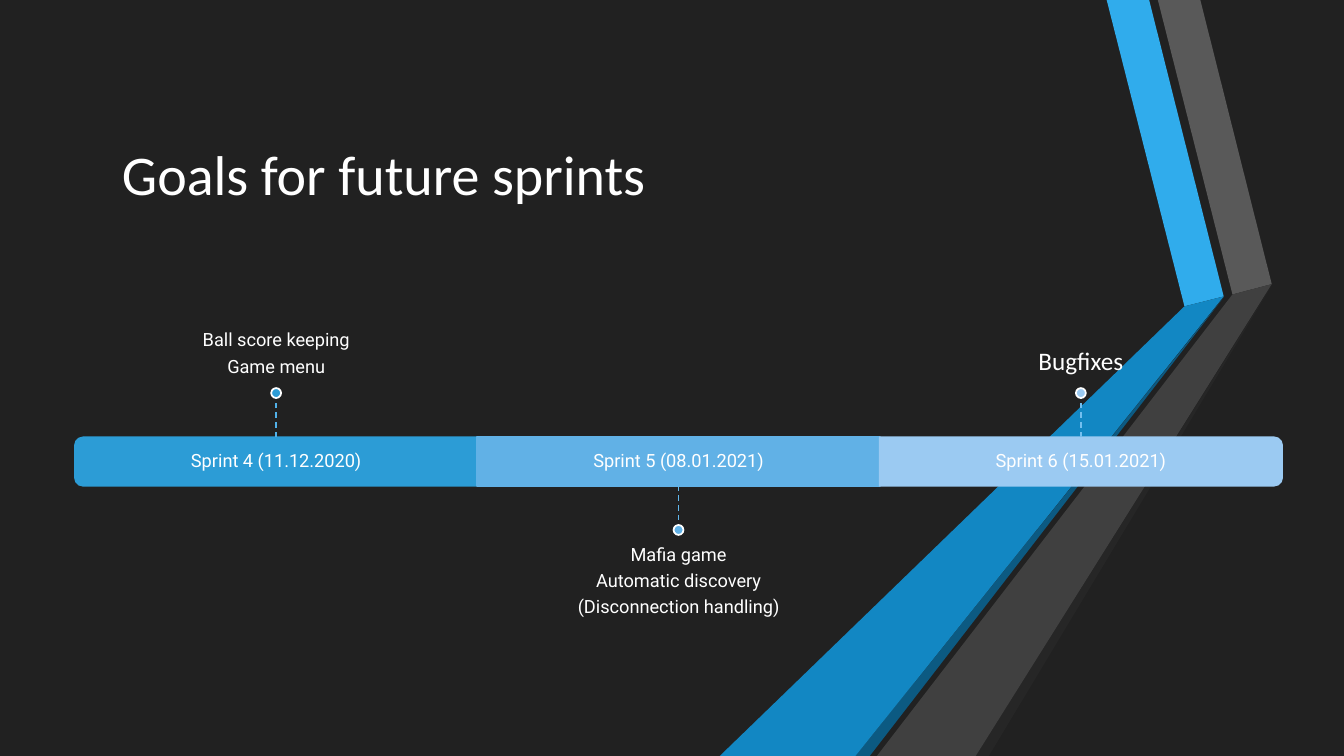
import dataclasses
import pptx
import pptx.util
import pptx.dml.color
import pptx.enum.dml
import pptx.enum.shapes
import pptx.enum.text
import pptx.oxml

Cm = pptx.util.Cm
Pt = pptx.util.Pt
SHAPE = pptx.enum.shapes.MSO_SHAPE
ANCHOR = pptx.enum.text.MSO_ANCHOR
ALIGN = pptx.enum.text.PP_ALIGN


@dataclasses.dataclass(frozen=True)
class Theme:
    background: str = "212121"
    text: str = "FFFFFF"
    bright_blue: str = "30ACEC"
    blue: str = "1287C3"
    deep_blue: str = "0C5A82"
    light_gray: str = "595959"
    gray: str = "404040"
    dark_gray: str = "262626"
    heading_font: str = "Calibri"
    body_font: str = "Roboto"
    title_size: float = 40
    body_size: float = 13
    short_note_size: float = 18
    outline: float = 1.25
    stem: float = 1


@dataclasses.dataclass(frozen=True)
class NoteStyle:
    font: str
    size: float
    width: float
    height: float
    gap: float
    inset: float
    line_spacing: float
    space_after: float


@dataclasses.dataclass(frozen=True)
class Sprint:
    label: str
    notes: tuple
    above: bool
    fill: str
    stem: str
    style: NoteStyle
    rotation: int = 0


T = Theme()
BODY = NoteStyle(T.body_font, T.body_size, 16.89, 4.29, 0, 0.28, 0.9, 4.55)
SHORT = NoteStyle(T.heading_font, T.short_note_size, 6.83, 1.02, 0.18, 0.13, 1, 0)

SPRINTS = (
    Sprint("Sprint 4 (11.12.2020)", ("Ball score keeping", "Game menu"),
           True, "2C9CD6", "51B1E9", BODY, 270),
    Sprint("Sprint 5 (08.01.2021)",
           ("Mafia game", "Automatic discovery", "(Disconnection handling)"),
           False, "61B1E6", "62B8EC", BODY),
    Sprint("Sprint 6 (15.01.2021)", ("Bugfixes",),
           True, "9BCAF2", "74BFEF", SHORT, 90),
)

RIBBONS = (
    (T.bright_blue, ((9.75, 0), (10.82, 0), (12.7, 7.47), (11.71, 7.72))),
    (T.light_gray, ((11.04, 0), (12.11, 0), (13.91, 7.16), (12.92, 7.42))),
    (T.dark_gray, ((13.91, 7.19), (6.78, 19.05), (6.45, 19.05))),
    (T.deep_blue, ((3.42, 19.05), (12.7, 7.49), (3.78, 19.05))),
    (T.blue, ((12.7, 7.47), (3.42, 19.05), (0, 19.05), (11.71, 7.72))),
    (T.gray, ((3.96, 19.05), (12.92, 7.42), (13.91, 7.16), (6.45, 19.05))),
)


def rgb(color):
    return pptx.dml.color.RGBColor.from_string(color)


def paint(sp, fill, line=None):
    sp.shadow.inherit = False
    sp.fill.solid()
    sp.fill.fore_color.rgb = rgb(fill)
    if line:
        sp.line.color.rgb = rgb(line)
        sp.line.width = Pt(T.outline)
    else:
        sp.line.fill.background()


def set_font(p, name, size):
    p.font.name = name
    p.font.size = Pt(size)
    p.font.color.rgb = rgb(T.text)


def add_text(s, box, lines, style, anchor, top=0.0, bottom=0.0):
    tf = s.shapes.add_textbox(*map(Cm, box)).text_frame
    tf.word_wrap = True
    tf.vertical_anchor = anchor
    tf.margin_left = tf.margin_right = 0
    tf.margin_top, tf.margin_bottom = Cm(top), Cm(bottom)
    for i, line in enumerate(lines):
        p = tf.add_paragraph() if i else tf.paragraphs[0]
        p.text = line
        p.alignment = ALIGN.CENTER
        p.line_spacing = style.line_spacing
        p.space_after = Pt(style.space_after)
        set_font(p, style.font, style.size)


def add_ribbons(s, left, top):
    for color, outline in RIBBONS:
        points = [(Cm(left + x), Cm(top + y)) for x, y in outline]
        builder = s.shapes.build_freeform(*points[0])
        builder.add_line_segments(points[1:], close=True)
        paint(builder.convert_to_shape(), color)


def add_title(s, text, left, top, width, height):
    sp = s.shapes.title
    sp.left, sp.top, sp.width, sp.height = map(Cm, (left, top, width, height))
    tf = sp.text_frame
    tf.text = text
    tf.vertical_anchor = ANCHOR.MIDDLE
    p = tf.paragraphs[0]
    p.alignment = ALIGN.LEFT
    set_font(p, T.heading_font, T.title_size)


def add_bar(s, sprint, left, top, width, height):
    if sprint.rotation:
        cx, cy = left + width / 2, top + height / 2
        sp = s.shapes.add_shape(SHAPE.ROUND_2_SAME_RECTANGLE,
                                Cm(cx - height / 2), Cm(cy - width / 2),
                                Cm(height), Cm(width))
        sp.rotation = sprint.rotation
    else:
        sp = s.shapes.add_shape(SHAPE.RECTANGLE, Cm(left), Cm(top),
                                Cm(width), Cm(height))
    paint(sp, sprint.fill, sprint.fill)
    add_text(s, (left, top, width, height), (sprint.label,), BODY,
             ANCHOR.MIDDLE, BODY.inset, BODY.inset)


def add_callout(s, sprint, cx, edge, stem=0.99, dot=0.25):
    style = sprint.style
    way = -1 if sprint.above else 1
    stem_end = edge + way * stem
    dot_end = stem_end + way * dot
    note_edge = dot_end + way * style.gap

    cxn = s.shapes.add_connector(pptx.enum.shapes.MSO_CONNECTOR.STRAIGHT,
                                 Cm(cx), Cm(edge), Cm(cx), Cm(stem_end))
    cxn.line.color.rgb = rgb(sprint.stem)
    cxn.line.width = Pt(T.stem)
    cxn.line.dash_style = pptx.enum.dml.MSO_LINE.DASH
    props = cxn.element.spPr
    props.append(pptx.oxml.parse_xml(
        '<a:effectLst xmlns:a="http://schemas.openxmlformats.org/drawingml/2006/main"/>'))

    sp = s.shapes.add_shape(SHAPE.OVAL, Cm(cx - dot / 2),
                            Cm(min(stem_end, dot_end)), Cm(dot), Cm(dot))
    paint(sp, sprint.fill, T.text)

    left = cx - style.width / 2
    if sprint.above:
        add_text(s, (left, note_edge - style.height, style.width, style.height),
                 sprint.notes, style, ANCHOR.BOTTOM, bottom=style.inset)
    else:
        add_text(s, (left, note_edge, style.width, style.height),
                 sprint.notes, style, ANCHOR.TOP, top=style.inset)


def add_timeline(s, left, top, width, height):
    step = width / len(SPRINTS)
    for i, sprint in enumerate(SPRINTS):
        x = left + i * step
        add_bar(s, sprint, x, top, step, height)
        add_callout(s, sprint, x + step / 2, top if sprint.above else top + height)


prs = pptx.Presentation()
prs.slide_width, prs.slide_height = Cm(33.87), Cm(19.05)
s = prs.slides.add_slide(prs.slide_layouts[5])
s.background.fill.solid()
s.background.fill.fore_color.rgb = rgb(T.background)
add_ribbons(s, 18.14, 0)
add_title(s, "Goals for future sprints", 2.82, 1.91, 20.6, 4.88)
add_timeline(s, 1.89, 11.02, 30.42, 1.22)
prs.save("out.pptx")
